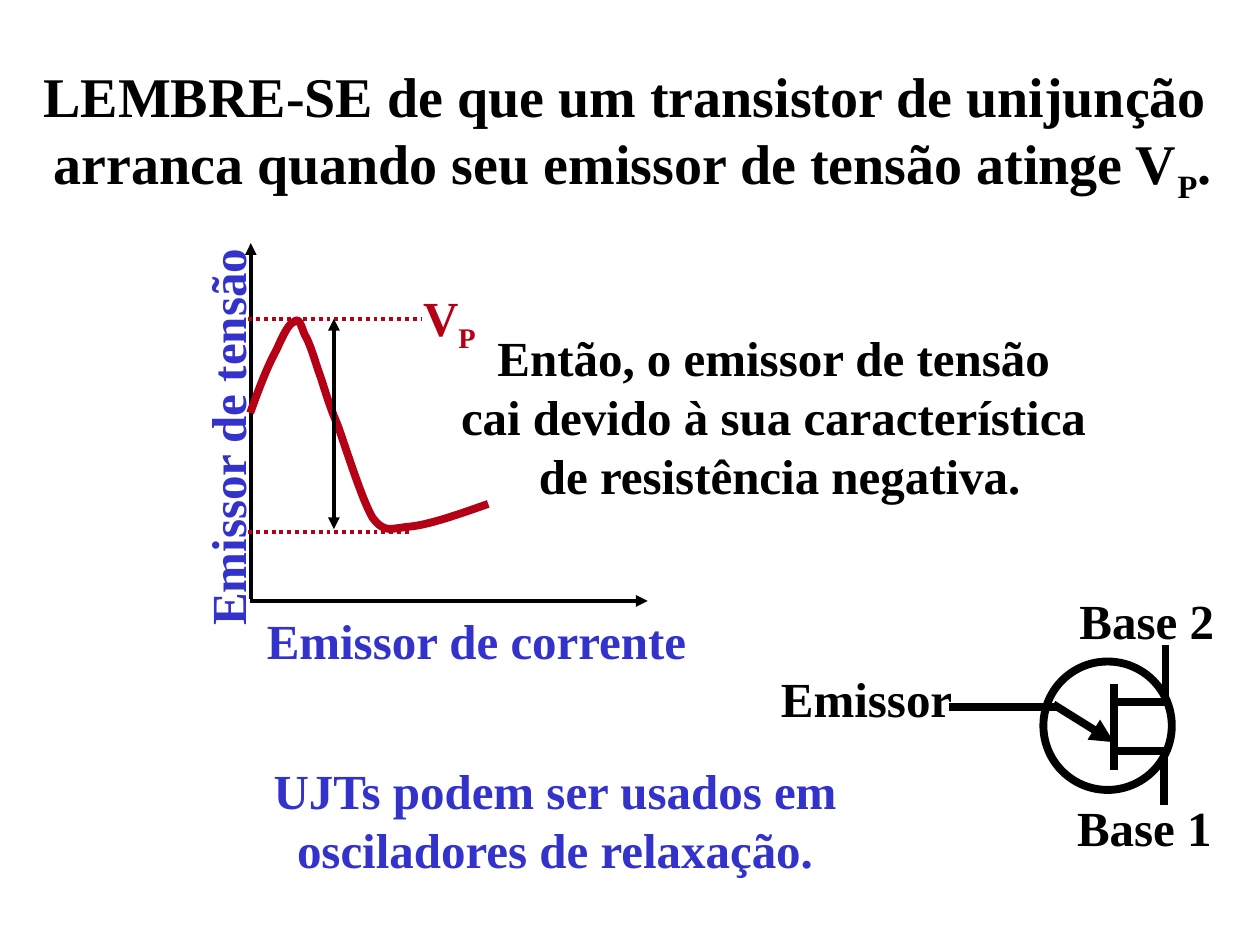
from dataclasses import dataclass
from typing import Optional

from lxml.etree import SubElement
from pptx import Presentation
from pptx.dml.color import RGBColor
from pptx.enum.dml import MSO_LINE
from pptx.enum.shapes import MSO_CONNECTOR, MSO_SHAPE
from pptx.enum.text import MSO_ANCHOR, MSO_AUTO_SIZE, PP_ALIGN
from pptx.oxml.ns import qn
from pptx.util import Pt

FONT = "Times New Roman"
COLORS = {"black": "000000", "red": "B50116", "blue": "3333CC"}
THICK, THIN = 4.5, 2.25


@dataclass
class Line:
    x1: float
    y1: float
    x2: float
    y2: float
    width: float = THIN
    color: str = "black"
    dotted: bool = False
    head: bool = False
    tail: bool = False


@dataclass
class Label:
    x: float
    y: float
    w: float
    h: float
    lines: list[str]
    color: str = "black"
    sub: Optional[str] = None
    after: str = ""
    centered: bool = False
    rotation: float = 0
    size: float = 28


TITLE = Label(17.3, 31.7, 688.3, 89.3,
              ["LEMBRE-SE de que um transistor de unijunção ",
               "arranca quando seu emissor de tensão atinge V"],
              sub="P", after=".", centered=True, size=32)

SYMBOL_LINES = [
    Line(603.4, 403.9, 542.2, 403.9, THICK),
    Line(636.5, 391, 636.5, 439.9, THICK),
    Line(637.2, 401, 668.2, 401, THICK),
    Line(636.5, 429.1, 667.4, 429.1, THICK),
    Line(665.3, 460.1, 665.3, 429.1, THICK),
    Line(666, 400.3, 666, 368.6, THICK),
    Line(601.9, 402.5, 636.5, 424.1, THICK, tail=True),
]
AXES = [
    Line(143.3, 342, 143.3, 139, tail=True),
    Line(142.6, 343.4, 370.1, 343.4, tail=True),
]
LEVELS = [
    Line(141.8, 182.2, 241.2, 182.2, color="red", dotted=True),
    Line(141.8, 303.8, 235.4, 303.8, color="red", dotted=True),
    Line(190.8, 182.2, 190.8, 302.4, head=True, tail=True),
]
CURVE = [
    (143.3, 236.2),
    (148.3, 221.8), (153.4, 208.8), (157.7, 200.2),
    (162, 190.8), (164.9, 185), (167.8, 183.6),
    (170.6, 181.4), (172.1, 186.5), (174.2, 190.8),
    (177.1, 195.8), (179.3, 203), (182.2, 211.7),
    (185, 220.3), (187.2, 229), (193, 242.6),
    (198, 257), (206.6, 285.8), (213.1, 295.9),
    (220.3, 305.3), (223.2, 302.4), (234, 301),
    (244.8, 299.5), (262.1, 293.8), (279.4, 288),
]
LABELS = [
    Label(609.8, 334.1, 91.4, 41, ["Base 2"]),
    Label(608.4, 452.2, 91.4, 41, ["Base 1"]),
    Label(439.2, 378.7, 112.3, 41, ["Emissor"]),
    Label(234.7, 160.6, 44.6, 45.4, ["V"], "red", sub="P"),
    Label(145.4, 345.6, 254.9, 41, ["Emissor de corrente"], "blue"),
    Label(14.4, 229, 230.4, 41, ["Emissor de tensão"], "blue", rotation=270),
    Label(256.3, 183.6, 371.5, 108,
          ["Então, o emissor de tensão",
           "cai devido à sua característica",
           " de resistência negativa."], centered=True),
    Label(147.6, 431.3, 339.1, 74.9,
          ["UJTs podem ser usados em", "osciladores de relaxação."],
          "blue", centered=True),
]


def rgb(name: str) -> RGBColor:
    return RGBColor.from_string(COLORS[name])


def draw_line(s, ln: Line) -> None:
    c = s.shapes.add_connector(MSO_CONNECTOR.STRAIGHT, Pt(ln.x1), Pt(ln.y1),
                               Pt(ln.x2), Pt(ln.y2))
    c.line.width = Pt(ln.width)
    c.line.color.rgb = rgb(ln.color)
    if ln.dotted:
        c.line.dash_style = MSO_LINE.ROUND_DOT
    outline = c.line._get_or_add_ln()
    for tag, wanted in (("a:headEnd", ln.head), ("a:tailEnd", ln.tail)):
        if wanted:
            SubElement(outline, qn(tag)).set("type", "triangle")
    SubElement(c._element.spPr, qn("a:effectLst"))


def style_outline(sp, color: str) -> None:
    sp.shadow.inherit = False
    sp.fill.background()
    sp.line.color.rgb = rgb(color)
    sp.line.width = Pt(THICK)


def draw_curve(s, points: list[tuple[float, float]], color: str) -> None:
    fb = s.shapes.build_freeform(*points[0], scale=float(Pt(1)))
    fb.add_line_segments(points[1:], close=False)
    sp = fb.convert_to_shape()
    style_outline(sp, color)
    outline = next(sp._element.iter(qn("a:path")))
    steps = outline.findall(qn("a:lnTo"))
    for i in range(0, len(steps), 3):
        bezier = SubElement(outline, qn("a:cubicBezTo"))
        for step in steps[i:i + 3]:
            bezier.append(step[0])
            outline.remove(step)


def fill_text(sp, lb: Label) -> None:
    sp.left, sp.top, sp.width, sp.height = map(Pt, (lb.x, lb.y, lb.w, lb.h))
    sp.rotation = lb.rotation
    tf = sp.text_frame
    tf.word_wrap = False
    tf.auto_size = MSO_AUTO_SIZE.SHAPE_TO_FIT_TEXT
    tf.vertical_anchor = MSO_ANCHOR.TOP
    for i, text in enumerate(lb.lines):
        p = tf.add_paragraph() if i else tf.paragraphs[0]
        p.alignment = PP_ALIGN.CENTER if lb.centered else PP_ALIGN.LEFT
        p.font.name = FONT
        p.font.size = Pt(lb.size)
        p.font.bold = True
        p.font.color.rgb = rgb(lb.color)
        p.add_run().text = text
    if lb.sub:
        r = p.add_run()
        r.text = lb.sub
        r._r.get_or_add_rPr().set("baseline", "-25000")
    if lb.after:
        p.add_run().text = lb.after


def main() -> None:
    prs = Presentation()
    prs.slide_width, prs.slide_height = Pt(720), Pt(540)
    s = prs.slides.add_slide(prs.slide_layouts[5])
    fill_text(s.shapes.title, TITLE)

    circle = s.shapes.add_shape(MSO_SHAPE.OVAL, Pt(596.2), Pt(378), Pt(73.4), Pt(73.4))
    style_outline(circle, "black")
    for ln in SYMBOL_LINES + AXES:
        draw_line(s, ln)
    draw_curve(s, CURVE, "red")
    for ln in LEVELS:
        draw_line(s, ln)
    for lb in LABELS:
        fill_text(s.shapes.add_textbox(0, 0, 0, 0), lb)
    prs.save("out.pptx")


if __name__ == "__main__":
    main()
